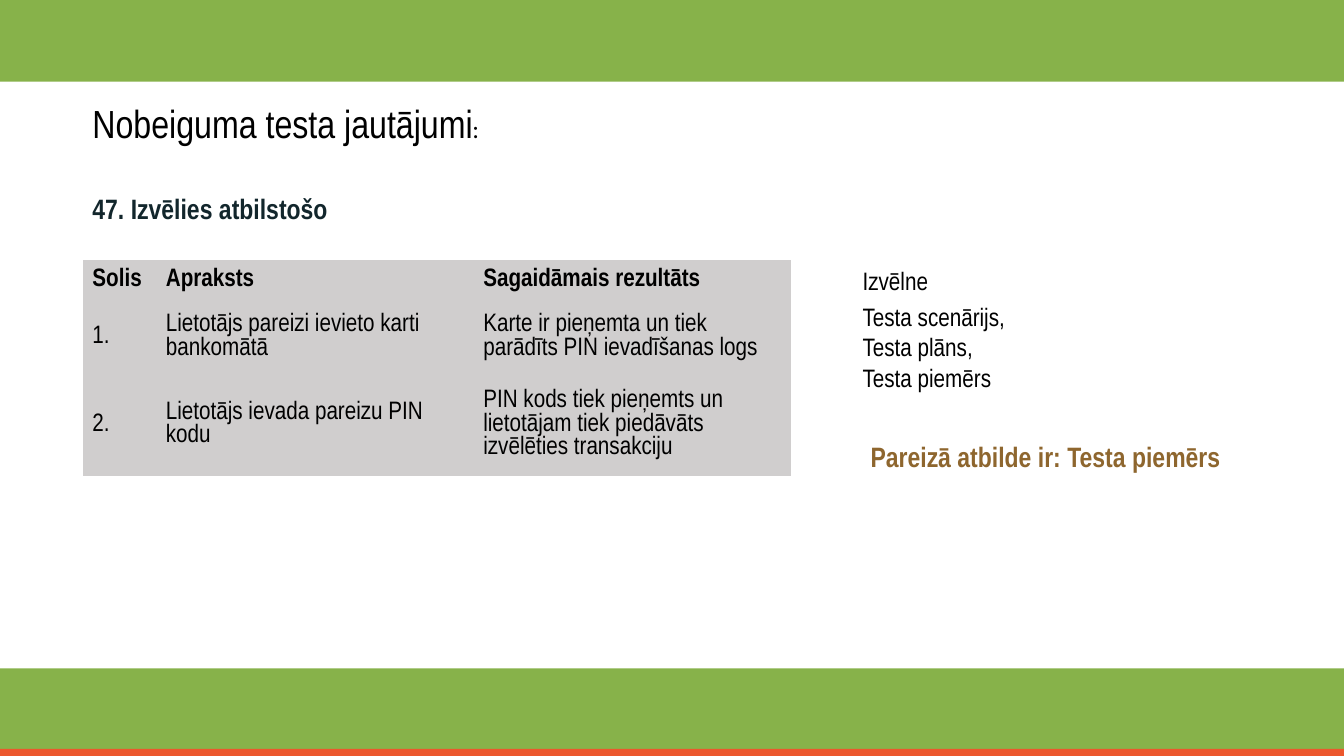
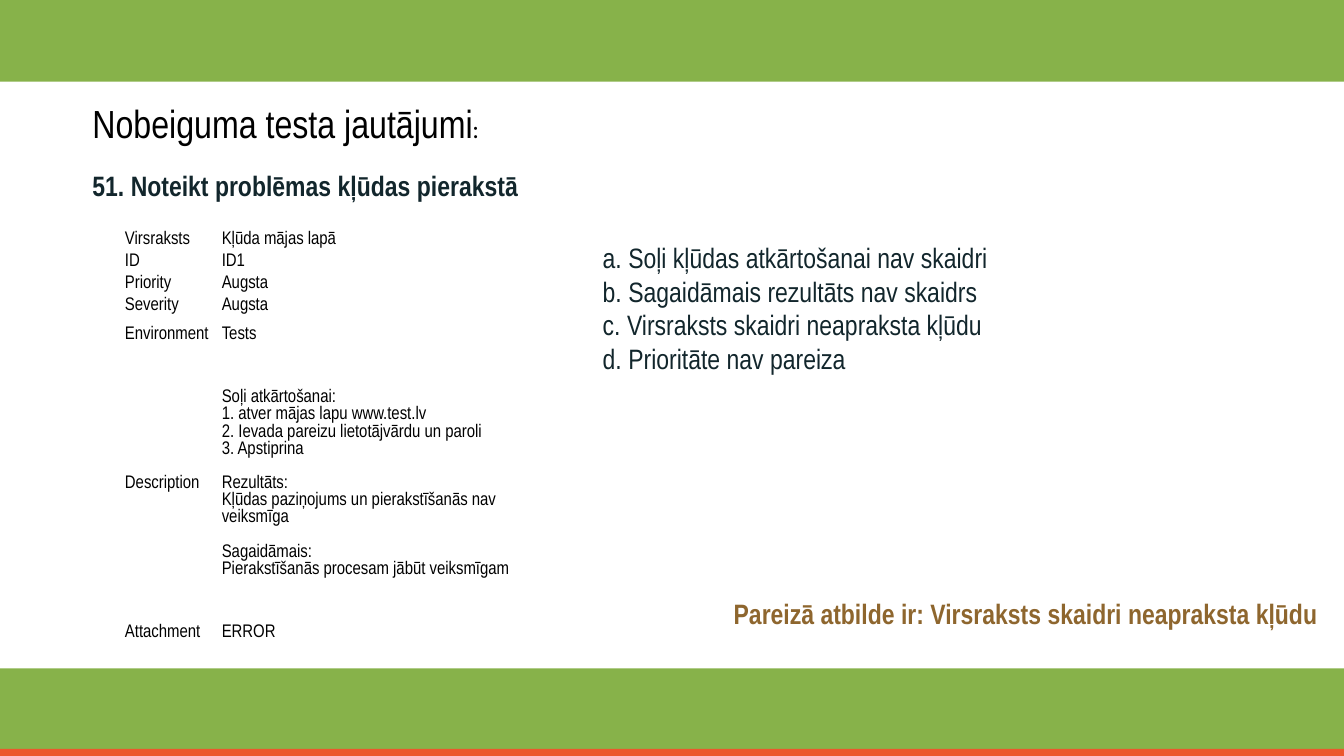
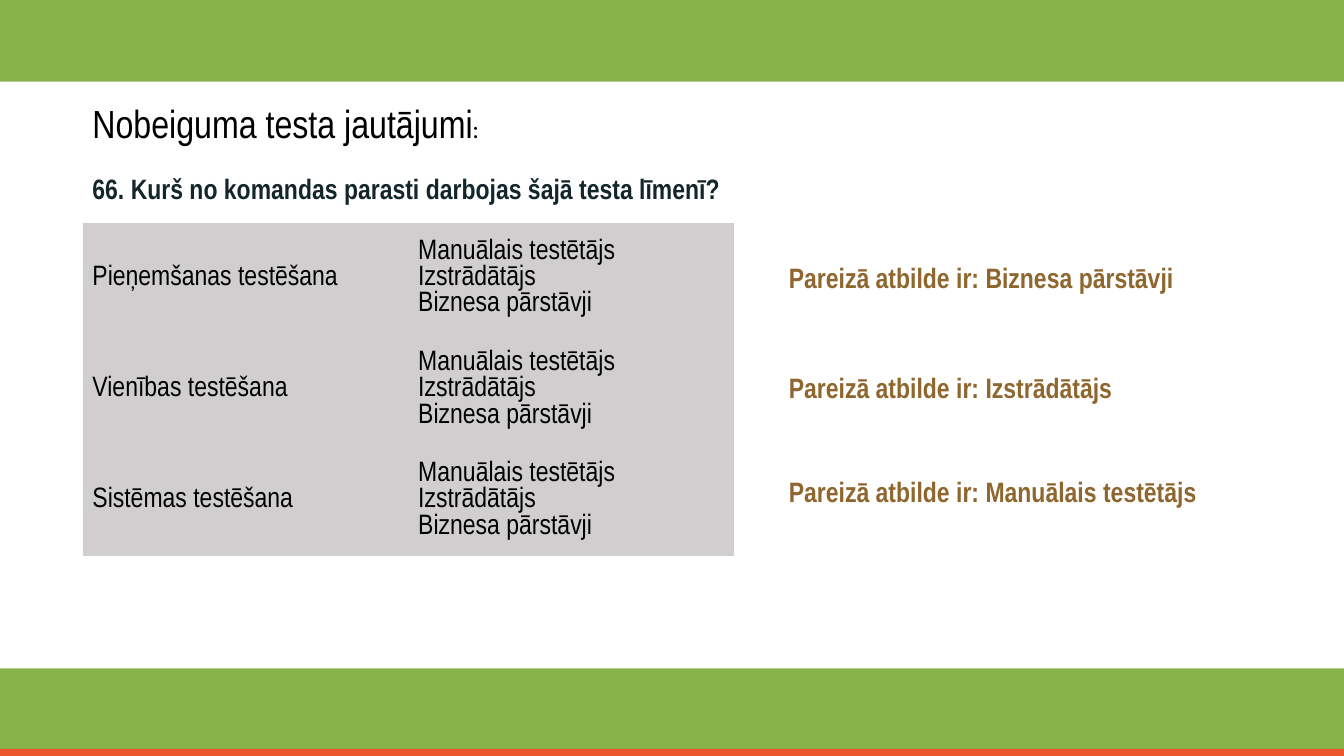
"""Builds three slides of final test questions with their correct answers."""
from dataclasses import dataclass
from typing import Any

from pptx import Presentation
from pptx import util as u
from pptx.dml.color import RGBColor
from pptx.enum import shapes, text
from pptx.oxml.ns import qn

GREEN = RGBColor(0x87, 0xB2, 0x4A)
ORANGE = RGBColor(0xEC, 0x57, 0x2D)
BLACK = RGBColor(0, 0, 0)
INK = RGBColor(0x12, 0x26, 0x2C)
BRONZE = RGBColor(0x8E, 0x66, 0x2E)
GREY = RGBColor(0xD0, 0xCE, 0xCE)

NARROW = "Arial Narrow"
SLIDE_WIDTH = 33.87
MARGIN = 2.08
ANSWER_PREFIX = "Pareizā atbilde ir: "
NO_GRID_STYLE = "{2D5ABB26-0587-4C30-8999-92F81FD0307C}"


@dataclass(frozen=True)
class TextStyle:
    size: float
    colour: RGBColor = BLACK
    bold: bool = False
    font: str = NARROW


@dataclass(frozen=True)
class Band:
    top: float
    height: float
    colour: RGBColor


@dataclass(frozen=True)
class Note:
    left: float
    top: float
    width: float
    height: float
    lines: tuple[str, ...]
    style: TextStyle


@dataclass(frozen=True)
class Grid:
    left: float
    top: float
    columns: tuple[float, ...]
    heights: tuple[float, ...]
    rows: tuple[tuple[str, ...], ...]
    style: TextStyle
    fill: RGBColor | None = GREY
    inset: bool = True
    bold_header: bool = False


@dataclass(frozen=True)
class Question:
    heading: str
    heading_top: float
    grid: Grid
    notes: tuple[Note, ...]


TITLE = TextStyle(28)
TITLE_COLON = TextStyle(18, font="Calibri")
HEADING = TextStyle(20, INK, True)
OPTION = TextStyle(20, INK)
ANSWER = TextStyle(20, BRONZE, True)
BODY = TextStyle(18)
BODY_BOLD = TextStyle(18, bold=True)
LARGE = TextStyle(20)
SMALL = TextStyle(13)

BANDS = (
    Band(0, 2.06, GREEN),
    Band(16.84, 2.11, GREEN),
    Band(18.87, 0.18, ORANGE),
)


def answer(left: float, top: float, width: float, wording: str) -> Note:
    """Describe one correct answer."""
    return Note(left, top, width, 1.12, (ANSWER_PREFIX + wording,), ANSWER)


ROLES = "Manuālais testētājs\nIzstrādātājs\nBiznesa pārstāvji"
DESCRIPTION = """Soļi atkārtošanai:
1. atver mājas lapu www.test.lv
2. Ievada pareizu lietotājvārdu un paroli
3. Apstiprina

Rezultāts:
Kļūdas paziņojums un pierakstīšanās nav veiksmīga

Sagaidāmais:
Pierakstīšanās procesam jābūt veiksmīgam"""

QUESTIONS = (
    Question(
        "47. Izvēlies atbilstošo", 4.7,
        Grid(MARGIN, 6.55, (1.85, 8, 8), (0.93, 1.84, 2.57), (
            ("Solis", "Apraksts", "Sagaidāmais rezultāts"),
            ("1.", "Lietotājs pareizi ievieto karti bankomātā",
             "Karte ir pieņemta un tiek parādīts PIN ievadīšanas logs"),
            ("2.", "Lietotājs ievada pareizu PIN kodu",
             "PIN kods tiek pieņemts un lietotājam tiek piedāvāts "
             "izvēlēties transakciju"),
        ), BODY, bold_header=True),
        (
            Note(21.49, 7.47, 4.9, 2.57,
                 ("Testa scenārijs, Testa plāns,", "Testa piemērs"), BODY),
            Note(21.49, 6.55, 4.9, 1.02, ("Izvēlne",), BODY),
            answer(21.69, 10.95, 9.6, "Testa piemērs"),
        ),
    ),
    Question(
        "51. Noteikt problēmas kļūdas pierakstā", 4.11,
        Grid(3.15, 5.77, (2.44, 7.95), (0.55,) * 4 + (0.94, 6.55, 0.94), (
            ("Virsraksts", "Kļūda mājas lapā"),
            ("ID", "ID1"),
            ("Priority", "Augsta"),
            ("Severity", "Augsta"),
            ("Environment", "Tests"),
            ("Description", DESCRIPTION),
            ("Attachment", "ERROR"),
        ), SMALL, fill=None, inset=False),
        (
            Note(14.94, 5.94, 13.23, 4.2, (
                "a. Soļi kļūdas atkārtošanai nav skaidri",
                "b. Sagaidāmais rezultāts nav skaidrs",
                "c. Virsraksts skaidri neapraksta kļūdu",
                "d. Prioritāte nav pareiza",
            ), OPTION),
            answer(18.24, 14.91, 15.4, "Virsraksts skaidri neapraksta kļūdu"),
        ),
    ),
    Question(
        "66. Kurš no komandas parasti darbojas šajā testa līmenī?", 4.19,
        Grid(MARGIN, 5.61, (8.21, 8.21), (2.79,) * 3, tuple(
            (level, ROLES) for level in (
                "Pieņemšanas testēšana", "Vienības testēšana",
                "Sistēmas testēšana")
        ), LARGE),
        tuple(answer(19.63, top, 13.06, role) for top, role in (
            (6.43, "Biznesa pārstāvji"),
            (9.22, "Izstrādātājs"),
            (11.84, "Manuālais testētājs"),
        )),
    ),
)


def apply_format(target: Any, values: dict[str, Any]) -> None:
    """Set each named attribute on the target."""
    for name, value in values.items():
        setattr(target, name, value)


def add_run(paragraph: Any, wording: str, style: TextStyle) -> None:
    """Append a styled run to a paragraph."""
    run = paragraph.add_run()
    run.text = wording
    apply_format(run.font, {
        "name": style.font, "size": u.Pt(style.size), "bold": style.bold})
    run.font.color.rgb = style.colour


def fill_frame(frame: Any, groups: list[list[str]], style: TextStyle) -> None:
    """Write groups of lines, with a one-line gap between groups."""
    paragraph = None
    for group_index, group in enumerate(groups):
        for line_index, line in enumerate(group):
            paragraph = (frame.add_paragraph() if paragraph is not None
                         else frame.paragraphs[0])
            if group_index and not line_index:
                paragraph.space_before = u.Pt(round(style.size * 0.95, 1))
            add_run(paragraph, line, style)


def add_band(slide: Any, band: Band) -> None:
    """Draw a full-width band."""
    strip = slide.shapes.add_shape(
        shapes.MSO_SHAPE.RECTANGLE, u.Cm(0), u.Cm(band.top),
        u.Cm(SLIDE_WIDTH), u.Cm(band.height))
    strip.shadow.inherit = False
    strip.fill.solid()
    strip.fill.fore_color.rgb = band.colour
    strip.line.fill.background()


def add_frame(slide: Any, left: float, top: float, width: float,
              height: float) -> Any:
    """Add a wrapping text box and return its text frame."""
    box = slide.shapes.add_textbox(*map(u.Cm, (left, top, width, height)))
    box.text_frame.word_wrap = True
    return box.text_frame


def add_title(slide: Any) -> None:
    """Write the title that the slides share."""
    paragraph = add_frame(slide, MARGIN, 2.39, 10.74, 1.45).paragraphs[0]
    add_run(paragraph, "Nobeiguma testa jautājumi", TITLE)
    add_run(paragraph, ":", TITLE_COLON)


def add_heading(slide: Any, wording: str, top: float) -> None:
    """Write the question itself."""
    frame = add_frame(slide, MARGIN, top, 16.43, 1.65)
    apply_format(frame, {
        "vertical_anchor": text.MSO_ANCHOR.MIDDLE,
        "margin_bottom": u.Cm(0.66)})
    fill_frame(frame, [[wording]], HEADING)


def add_note(slide: Any, note: Note) -> None:
    """Write options or an answer beside the table."""
    frame = add_frame(slide, note.left, note.top, note.width, note.height)
    fill_frame(frame, [list(note.lines)], note.style)


def add_grid(slide: Any, grid: Grid) -> None:
    """Draw a table without borders."""
    table = slide.shapes.add_table(
        len(grid.rows), len(grid.columns), u.Cm(grid.left), u.Cm(grid.top),
        u.Cm(sum(grid.columns)), u.Cm(sum(grid.heights))).table
    apply_format(table, {"first_row": grid.bold_header,
                         "horz_banding": False})
    table._tbl.tblPr.find(qn("a:tableStyleId")).text = NO_GRID_STYLE
    for column, width in zip(table.columns, grid.columns):
        column.width = u.Cm(width)
    across, down = (0.25, 0.13) if grid.inset else (0, 0)
    cell_format = {
        "vertical_anchor": text.MSO_ANCHOR.MIDDLE,
        "margin_left": u.Cm(across), "margin_right": u.Cm(across),
        "margin_top": u.Cm(down), "margin_bottom": u.Cm(down),
    }
    for row_index, entries in enumerate(grid.rows):
        table.rows[row_index].height = u.Cm(grid.heights[row_index])
        is_header = grid.bold_header and row_index == 0
        style = BODY_BOLD if is_header else grid.style
        for column_index, entry in enumerate(entries):
            cell = table.cell(row_index, column_index)
            apply_format(cell, cell_format)
            if grid.fill is None:
                cell.fill.background()
            else:
                cell.fill.solid()
                cell.fill.fore_color.rgb = grid.fill
            groups = [part.split("\n") for part in entry.split("\n\n")]
            fill_frame(cell.text_frame, groups, style)


def add_question(deck: Any, question: Question) -> None:
    """Add one question slide."""
    slide = deck.slides.add_slide(deck.slide_layouts[6])
    for band in BANDS:
        add_band(slide, band)
    add_title(slide)
    add_grid(slide, question.grid)
    add_heading(slide, question.heading, question.heading_top)
    for note in question.notes:
        add_note(slide, note)


def main() -> None:
    """Build and save the slides."""
    deck = Presentation()
    apply_format(deck, {"slide_width": u.Cm(SLIDE_WIDTH),
                        "slide_height": u.Cm(19.05)})
    for question in QUESTIONS:
        add_question(deck, question)
    deck.save("out.pptx")


if __name__ == "__main__":
    main()
